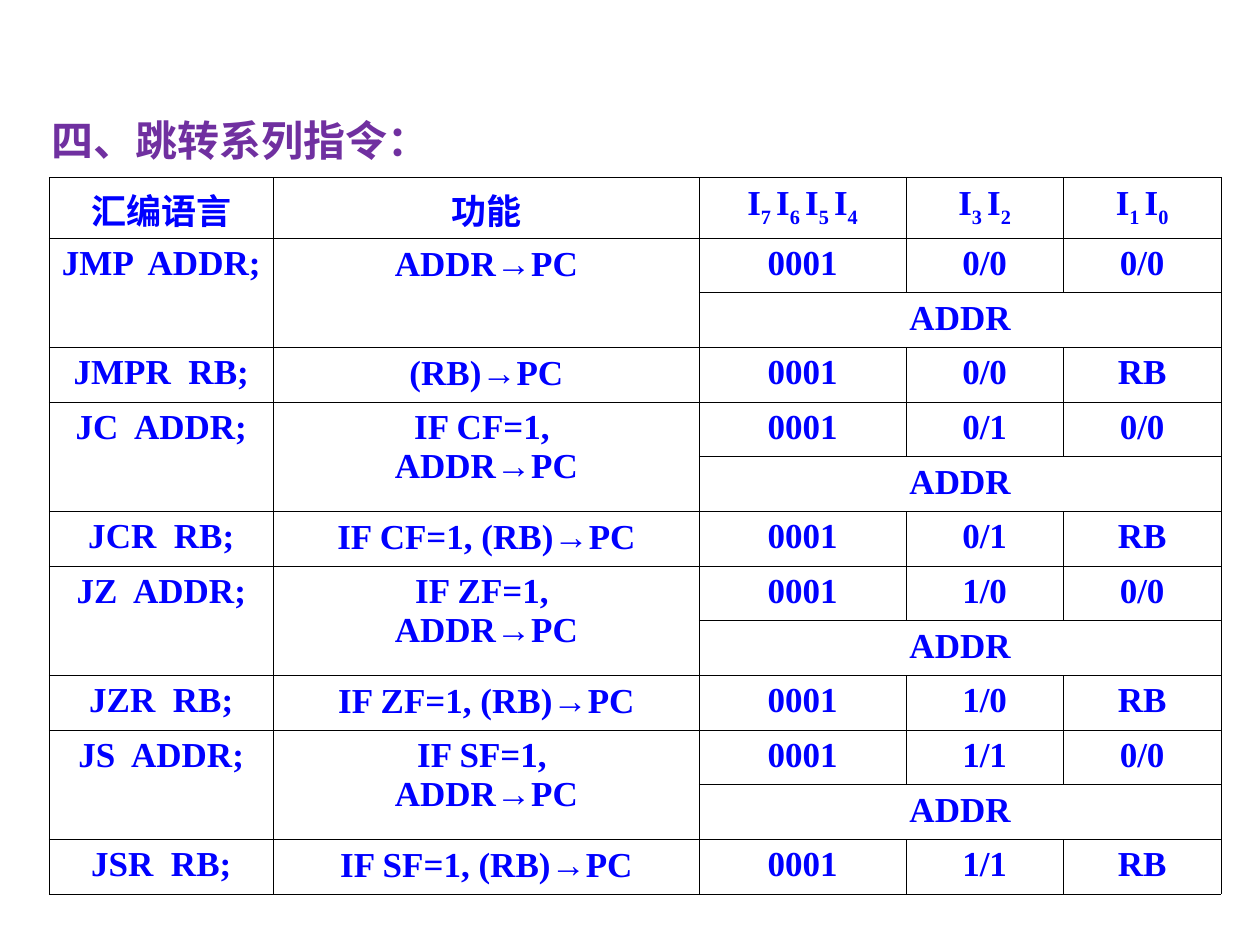
import pptx
import pptx.dml.color
import pptx.enum.text
import pptx.oxml
import pptx.oxml.ns
import pptx.util

Inches = pptx.util.Inches
Pt = pptx.util.Pt
ALIGN = pptx.enum.text.PP_ALIGN
ANCHOR = pptx.enum.text.MSO_ANCHOR
AUTO_SIZE = pptx.enum.text.MSO_AUTO_SIZE

COLUMN_WIDTHS = [1.78, 3.38, 1.64, 1.25, 1.25]
HEADER_HEIGHT = 0.39
HALF_HEIGHT = 0.33
HEADERS = ["汇编语言", "功能"]
BIT_GROUPS = ["7654", "32", "10"]
JUMPS = [
    ("JMP", "JMPR", "", "0/0", 0.41),
    ("JC", "JCR", "IF CF=1, ", "0/1", 0.43),
    ("JZ", "JZR", "IF ZF=1, ", "1/0", 0.43),
    ("JS", "JSR", "IF SF=1, ", "1/1", 0.43),
]


def color(value):
    return pptx.dml.color.RGBColor.from_string(value)


def apply(target, values):
    for name, value in values.items():
        setattr(target, name, value)


class SlideBuilder:
    text_font = "Times New Roman"
    arrow_font = "Arial"
    title_color = "7030A0"
    table_color = "0000FF"
    border_color = "000000"
    border_width = Pt(0.45)

    def __init__(self, presentation):
        self.slide = presentation.slides.add_slide(presentation.slide_layouts[5])

    def run(self, paragraph, text, size, hex_color, font_name=None, subscript=False):
        run = paragraph.add_run()
        run.text = text
        apply(run.font, {"name": font_name or self.text_font, "size": Pt(size), "bold": True})
        run.font.color.rgb = color(hex_color)
        if subscript:
            run.font._element.set("baseline", "-25000")

    def title(self, text, left, top, width, height):
        title = self.slide.shapes.title
        apply(title, {"left": Inches(left), "top": Inches(top),
                      "width": Inches(width), "height": Inches(height)})
        apply(title.text_frame, {"word_wrap": True, "vertical_anchor": ANCHOR.TOP,
                                 "auto_size": AUTO_SIZE.SHAPE_TO_FIT_TEXT})
        paragraph = title.text_frame.paragraphs[0]
        paragraph.alignment = ALIGN.LEFT
        self.run(paragraph, text, 24, self.title_color)

    def table(self, left, top, column_widths, row_heights):
        table = self.slide.shapes.add_table(
            len(row_heights), len(column_widths), Inches(left), Inches(top),
            Inches(sum(column_widths)), Inches(sum(row_heights))).table
        apply(table, {"first_row": False, "horz_banding": False})
        for column, width in zip(table.columns, column_widths):
            column.width = Inches(width)
        for row, height in zip(table.rows, row_heights):
            row.height = Inches(height)
        for cell in table.iter_cells():
            self.border(cell)
            cell.fill.background()
            apply(cell, {"margin_left": Inches(0.08), "margin_right": Inches(0.08),
                         "margin_top": Inches(0.05), "margin_bottom": Inches(0.05)})
        return table

    def border(self, cell):
        properties = cell._tc.get_or_add_tcPr()
        for side in ("lnL", "lnR", "lnT", "lnB"):
            properties.append(pptx.oxml.parse_xml(
                f'<a:{side} {pptx.oxml.ns.nsdecls("a")} w="{self.border_width}">'
                f'<a:solidFill><a:srgbClr val="{self.border_color}"/></a:solidFill>'
                f'</a:{side}>'))

    def cell_text(self, cell, *lines):
        for index, line in enumerate(lines):
            frame = cell.text_frame
            paragraph = frame.add_paragraph() if index else frame.paragraphs[0]
            paragraph.alignment = ALIGN.CENTER
            before, arrow, after = line.partition("→")
            for text, font_name in ((before, None), (arrow, self.arrow_font), (after, None)):
                if text:
                    self.run(paragraph, text, 20, self.table_color, font_name)

    def bit_header(self, cell, digits):
        paragraph = cell.text_frame.paragraphs[0]
        paragraph.alignment = ALIGN.CENTER
        for digit in digits:
            gap = "" if digit == digits[-1] else " "
            self.run(paragraph, "I", 20, self.table_color)
            self.run(paragraph, digit + gap, 20, self.table_color, subscript=True)

    def row_text(self, table, row, texts):
        for column, text in enumerate(texts):
            lines = text if isinstance(text, list) else [text]
            self.cell_text(table.cell(row, column), *lines)


def main():
    presentation = pptx.Presentation()
    apply(presentation, {"slide_width": Inches(10), "slide_height": Inches(7.5)})
    builder = SlideBuilder(presentation)

    row_heights = [HEADER_HEIGHT]
    for jump in JUMPS:
        row_heights += [HALF_HEIGHT, HALF_HEIGHT, jump[-1]]
    table = builder.table(0.39, 1.41, COLUMN_WIDTHS, row_heights)

    builder.row_text(table, 0, HEADERS)
    for column, digits in enumerate(BIT_GROUPS, len(HEADERS)):
        builder.bit_header(table.cell(0, column), digits)

    for index, (direct, register, condition, bits, _) in enumerate(JUMPS):
        row = 1 + 3 * index
        for column in (0, 1):
            table.cell(row, column).merge(table.cell(row + 1, column))
        table.cell(row + 1, 2).merge(table.cell(row + 1, 4))
        action = [condition, "ADDR→PC"] if condition else "ADDR→PC"
        builder.row_text(table, row, [f"{direct}  ADDR;", action, "0001", bits, "0/0"])
        builder.cell_text(table.cell(row + 1, 2), "ADDR")
        builder.row_text(table, row + 2,
                         [f"{register}  RB;", f"{condition}(RB)→PC", "0001", bits, "RB"])

    builder.title("四、跳转系列指令：", 0.31, 0.86, 7.73, 0.5)
    presentation.save("out.pptx")


if __name__ == "__main__":
    main()
